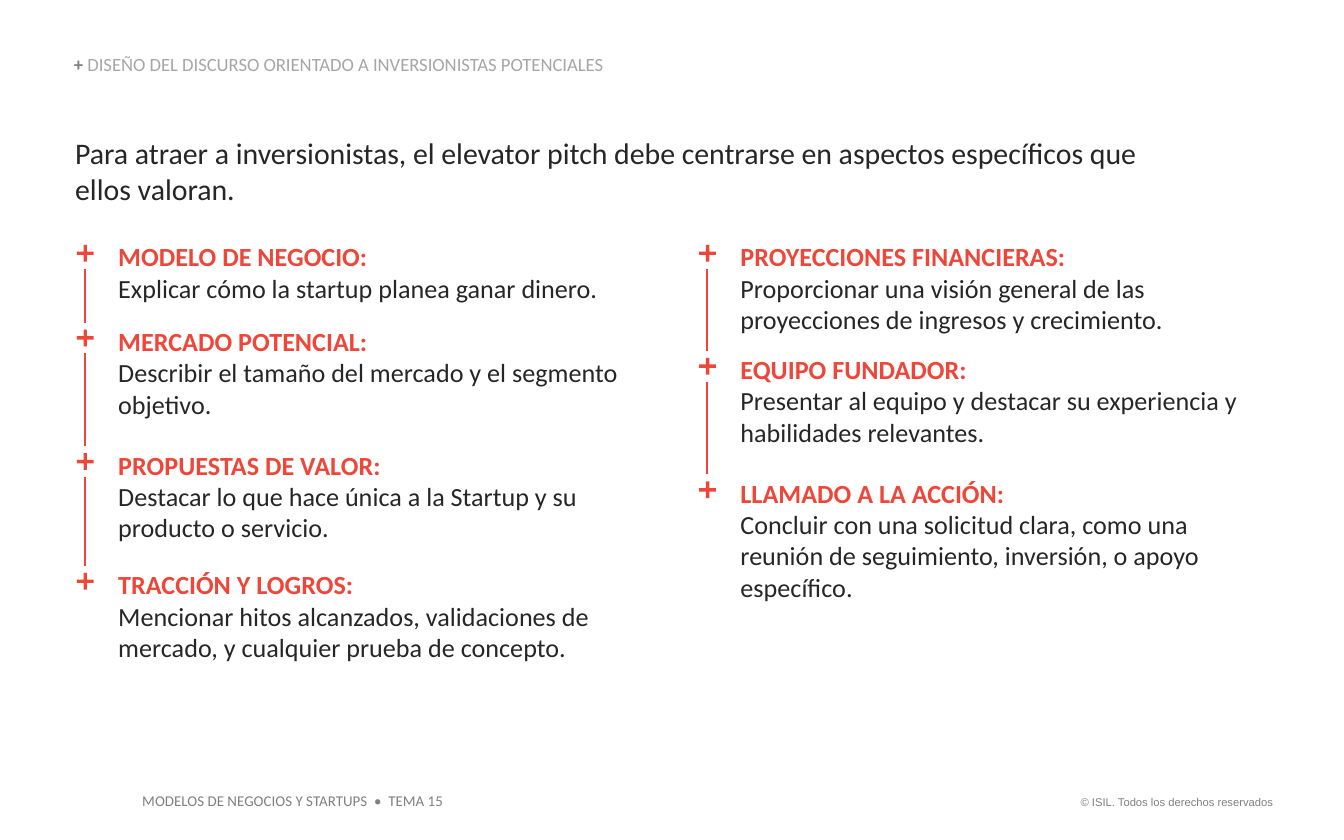
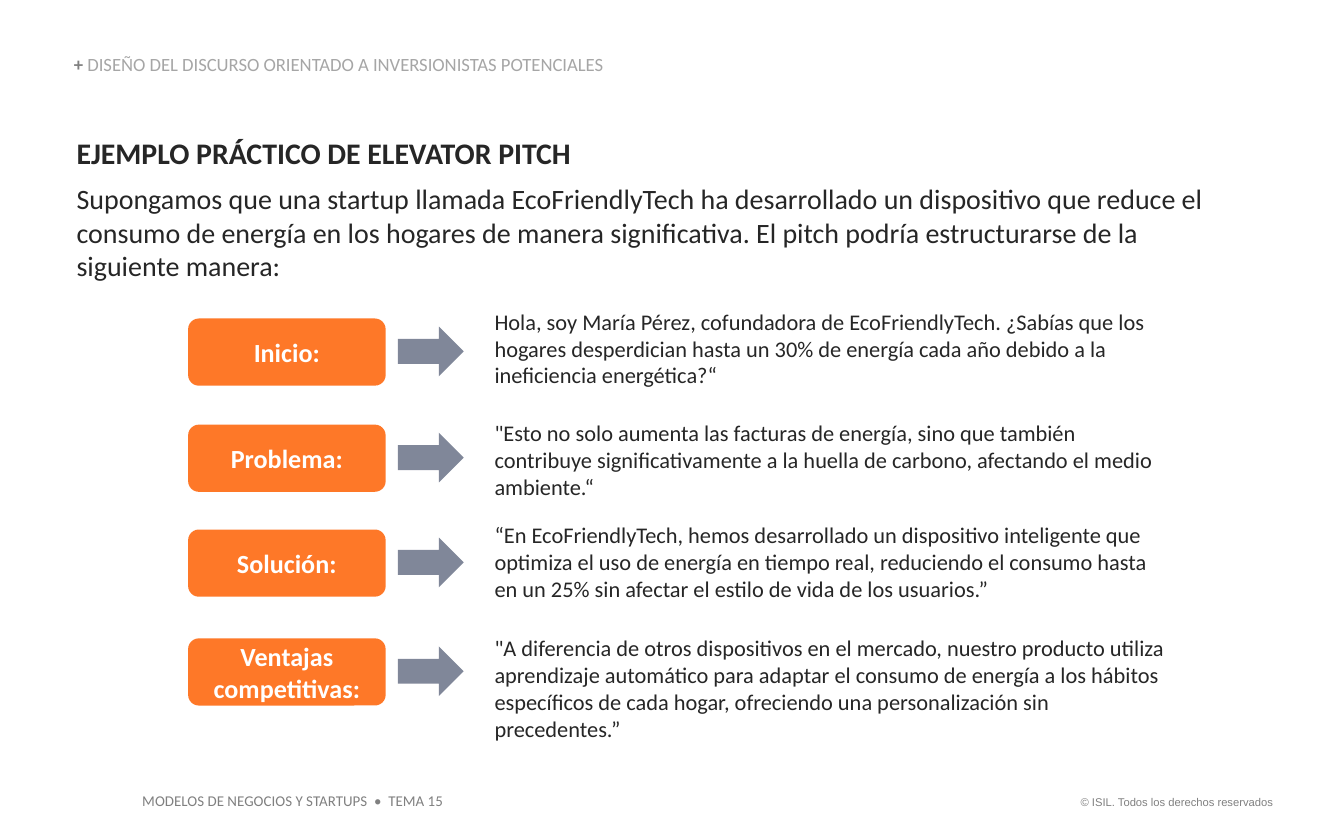
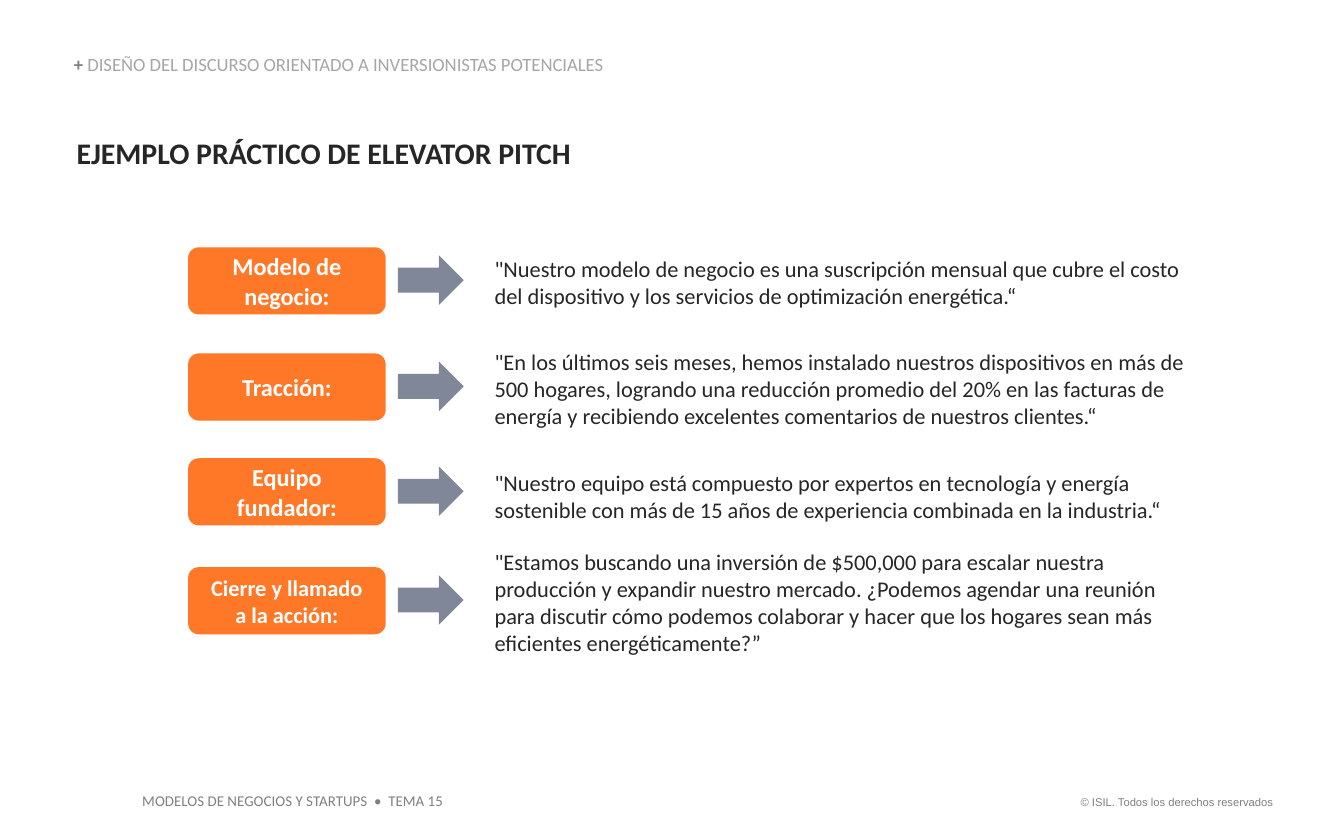
"""Builds three slides on designing a pitch for potential investors."""
import pptx
import pptx.dml.color
import pptx.enum.shapes
import pptx.enum.text
import pptx.oxml.ns
import pptx.util
from pptx.util import Inches
import lxml.etree

COLORS = {
    "body": "262626",
    "muted": "808080",
    "section": "A6A6A6",
    "accent": "EE4639",
    "step": "FE7828",
    "arrow": "808799",
    "white": "FFFFFF",
}
SHAPES = pptx.enum.shapes.MSO_SHAPE
ALIGN = pptx.enum.text.PP_ALIGN
ANCHOR = pptx.enum.text.MSO_ANCHOR
AUTO_SIZE = pptx.enum.text.MSO_AUTO_SIZE


def write_lines(frame, lines, font_name="Calibri"):
    for index, (text, size, color, bold) in enumerate(lines):
        paragraph = frame.add_paragraph() if index else frame.paragraphs[0]
        paragraph.text = text
        for run in paragraph.runs:
            run.font.name = font_name
            run.font.size = pptx.util.Pt(size)
            run.font.bold = bold
            run.font.color.rgb = pptx.dml.color.RGBColor.from_string(COLORS[color])


def add_text(slide, area, lines, font_name="Calibri", insets=(0.01, 0, 0, 0), wrap=True):
    frame = slide.shapes.add_textbox(*map(Inches, area)).text_frame
    frame.margin_left, frame.margin_top, frame.margin_right, frame.margin_bottom = map(Inches, insets)
    frame.word_wrap = wrap
    frame.auto_size = AUTO_SIZE.SHAPE_TO_FIT_TEXT
    write_lines(frame, lines, font_name)
    return frame


deck = pptx.Presentation()
deck.slide_width, deck.slide_height = Inches(10), Inches(6.25)

FOOTER_INSETS = (0.1, 0.05, 0.1, 0.05)
for number in range(3):
    slide = deck.slides.add_slide(deck.slide_layouts[6])
    rights = add_text(slide, (7.88, 5.87, 1.69, 0.2),
                      [("© ISIL. Todos los derechos reservados", 6, "muted", False)],
                      "Arial", FOOTER_INSETS, wrap=False)
    rights.paragraphs[0].alignment = ALIGN.RIGHT
    add_text(slide, (0.96, 5.84, 2.45, 0.24),
             [("MODELOS DE NEGOCIOS Y STARTUPS  •  TEMA 15", 8, "muted", False)],
             insets=FOOTER_INSETS, wrap=False)
    section = add_text(slide, (0.55, 0.41, 4.25, 0.15), [("+ ", 10, "muted", True)],
                       insets=(0, 0, 0, 0))
    section.vertical_anchor = ANCHOR.BOTTOM
    section.paragraphs[0].line_spacing = 0.9
    section_name = section.paragraphs[0].add_run()
    section_name.text = "DISEÑO DEL DISCURSO ORIENTADO A INVERSIONISTAS POTENCIALES"
    section_name.font.name = "Calibri"
    section_name.font.size = pptx.util.Pt(10)
    section_name.font.bold = False
    section_name.font.color.rgb = pptx.dml.color.RGBColor.from_string(COLORS["section"])

aspects_slide, opening_slide, closing_slide = deck.slides

add_text(aspects_slide, (0.55, 1, 8.94, 0.54), [
    ("Para atraer a inversionistas, el elevator pitch debe centrarse en aspectos específicos que \v"
     "ellos valoran.", 16, "body", False)])

aspect_columns = [
    (0.55, [
        (1.79, 0.47, "MODELO DE NEGOCIO:", "Explicar cómo la startup planea ganar dinero."),
        (2.42, 0.71, "MERCADO POTENCIAL:", "Describir el tamaño del mercado y el segmento objetivo."),
        (3.34, 0.71, "PROPUESTAS DE VALOR:",
         "Destacar lo que hace única a la Startup y su producto o servicio."),
        (4.23, 0.71, "TRACCIÓN Y LOGROS:",
         "Mencionar hitos alcanzados, validaciones de mercado, y cualquier prueba de concepto."),
    ]),
    (5.18, [
        (1.79, 0.71, "PROYECCIONES FINANCIERAS:",
         "Proporcionar una visión general de las proyecciones de ingresos y crecimiento."),
        (2.63, 0.71, "EQUIPO FUNDADOR:",
         "Presentar al equipo y destacar su experiencia y habilidades relevantes."),
        (3.55, 0.94, "LLAMADO A LA ACCIÓN:",
         "Concluir con una solicitud clara, como una reunión de seguimiento, inversión, o apoyo específico."),
    ]),
]
for left, aspects in aspect_columns:
    for top, height, heading, detail in aspects:
        add_text(aspects_slide, (left + 0.32, top, 3.94, height),
                 [(heading, 14, "accent", True), (detail, 14, "body", False)])
        plus = aspects_slide.shapes.add_shape(
            SHAPES.MATH_PLUS, Inches(left), Inches(top + 0.01), Inches(0.17), Inches(0.17))
        plus.adjustments[0] = 0.15
        plus.shadow.inherit = False
        plus.fill.solid()
        plus.fill.fore_color.rgb = pptx.dml.color.RGBColor.from_string(COLORS["accent"])
        plus.line.fill.background()
    for current, following in zip(aspects, aspects[1:]):
        stem = aspects_slide.shapes.add_connector(
            pptx.enum.shapes.MSO_CONNECTOR.STRAIGHT,
            Inches(left + 0.08), Inches(current[0] + 0.21),
            Inches(left + 0.08), Inches(following[0] - 0.02))
        stem.line.color.rgb = pptx.dml.color.RGBColor.from_string(COLORS["accent"])
        stem.line.width = pptx.util.Pt(1)
        lxml.etree.SubElement(stem.element.spPr, pptx.oxml.ns.qn("a:effectLst"))

example_title = ("EJEMPLO PRÁCTICO DE ELEVATOR PITCH", 16, "body", True)
example = add_text(opening_slide, (0.56, 1, 8.52, 1.11), [
    example_title,
    ("Supongamos que una startup llamada EcoFriendlyTech ha desarrollado un dispositivo que reduce el "
     "consumo de energía en los hogares de manera significativa. El pitch podría estructurarse de la "
     "siguiente manera:", 15, "body", False)])
example.paragraphs[0].space_after = pptx.util.Pt(6)
add_text(closing_slide, (0.56, 1, 8.52, 0.35), [example_title])

pitches = [
    (opening_slide, 2.37, 5, [
        ("Inicio:", 14, 2.29, 0.61,
         "Hola, soy María Pérez, cofundadora de EcoFriendlyTech. ¿Sabías que los hogares desperdician "
         "hasta un 30% de energía cada año debido a la ineficiencia energética?“"),
        ("Problema:", 14, 3.12, 0.61,
         "\"Esto no solo aumenta las facturas de energía, sino que también contribuye "
         "significativamente a la huella de carbono, afectando el medio ambiente.“"),
        ("Solución:", 14, 3.88, 0.61,
         "“En EcoFriendlyTech, hemos desarrollado un dispositivo inteligente que optimiza el uso de "
         "energía en tiempo real, reduciendo el consumo hasta en un 25% sin afectar el estilo de vida "
         "de los usuarios.”"),
        ("Ventajas competitivas:", 14, 4.72, 0.81,
         "\"A diferencia de otros dispositivos en el mercado, nuestro producto utiliza aprendizaje "
         "automático para adaptar el consumo de energía a los hábitos específicos de cada hogar, "
         "ofreciendo una personalización sin precedentes.”"),
    ]),
    (closing_slide, 1.84, 5.26, [
        ("Modelo de negocio:", 13, 1.9, 0.4,
         "\"Nuestro modelo de negocio es una suscripción mensual que cubre el costo del dispositivo y "
         "los servicios de optimización energética.“"),
        ("Tracción:", 13, 2.59, 0.61,
         "\"En los últimos seis meses, hemos instalado nuestros dispositivos en más de 500 hogares, "
         "logrando una reducción promedio del 20% en las facturas de energía y recibiendo excelentes "
         "comentarios de nuestros clientes.“"),
        ("Equipo fundador:", 13, 3.49, 0.4,
         "\"Nuestro equipo está compuesto por expertos en tecnología y energía sostenible con más de "
         "15 años de experiencia combinada en la industria.“"),
        ("Cierre y llamado a la acción:", 12, 4.08, 0.81,
         "\"Estamos buscando una inversión de $500,000 para escalar nuestra producción y expandir "
         "nuestro mercado. ¿Podemos agendar una reunión para discutir cómo podemos colaborar y hacer "
         "que los hogares sean más eficientes energéticamente?”"),
    ]),
]
STEP_OFFSETS = (0, 0.79, 1.57, 2.38)
for slide, first_top, speech_width, steps in pitches:
    for offset, (name, size, speech_top, speech_height, speech) in zip(STEP_OFFSETS, steps):
        top = first_top + offset
        arrow = slide.shapes.add_shape(
            SHAPES.RIGHT_ARROW, Inches(2.96), Inches(top + 0.06), Inches(0.49), Inches(0.37))
        step = slide.shapes.add_shape(
            SHAPES.ROUNDED_RECTANGLE, Inches(1.4), Inches(top), Inches(1.47), Inches(0.5))
        step.adjustments[0] = 0.16
        for part, color in ((arrow, "arrow"), (step, "step")):
            part.shadow.inherit = False
            part.fill.solid()
            part.fill.fore_color.rgb = pptx.dml.color.RGBColor.from_string(COLORS[color])
            part.line.fill.background()
        step.text_frame.word_wrap = True
        step.text_frame.vertical_anchor = ANCHOR.MIDDLE
        write_lines(step.text_frame, [(name, size, "white", True)])
        step.text_frame.paragraphs[0].alignment = ALIGN.CENTER
        add_text(slide, (3.67, speech_top, speech_width, speech_height),
                 [(speech, 12, "body", False)])

deck.save("out.pptx")
